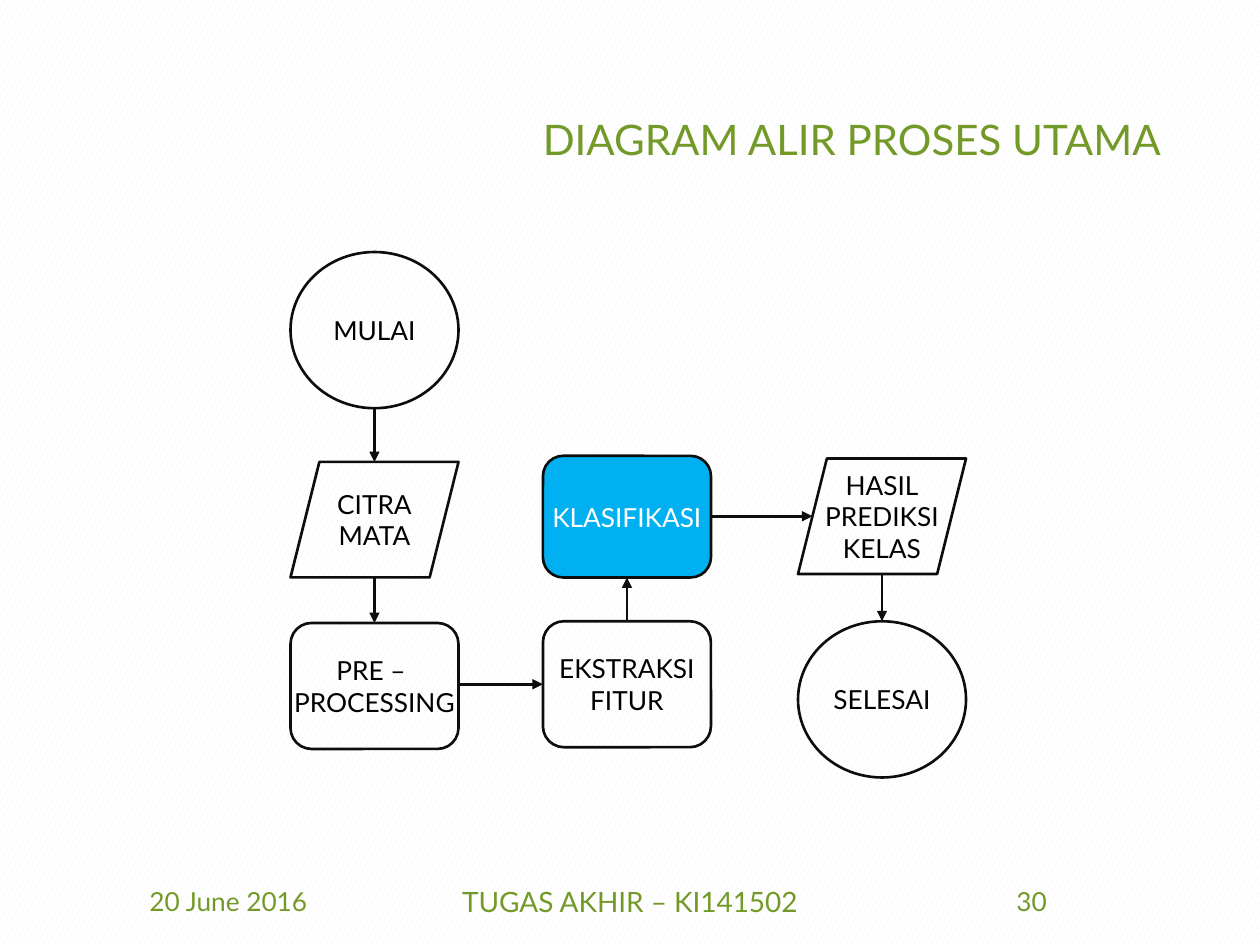
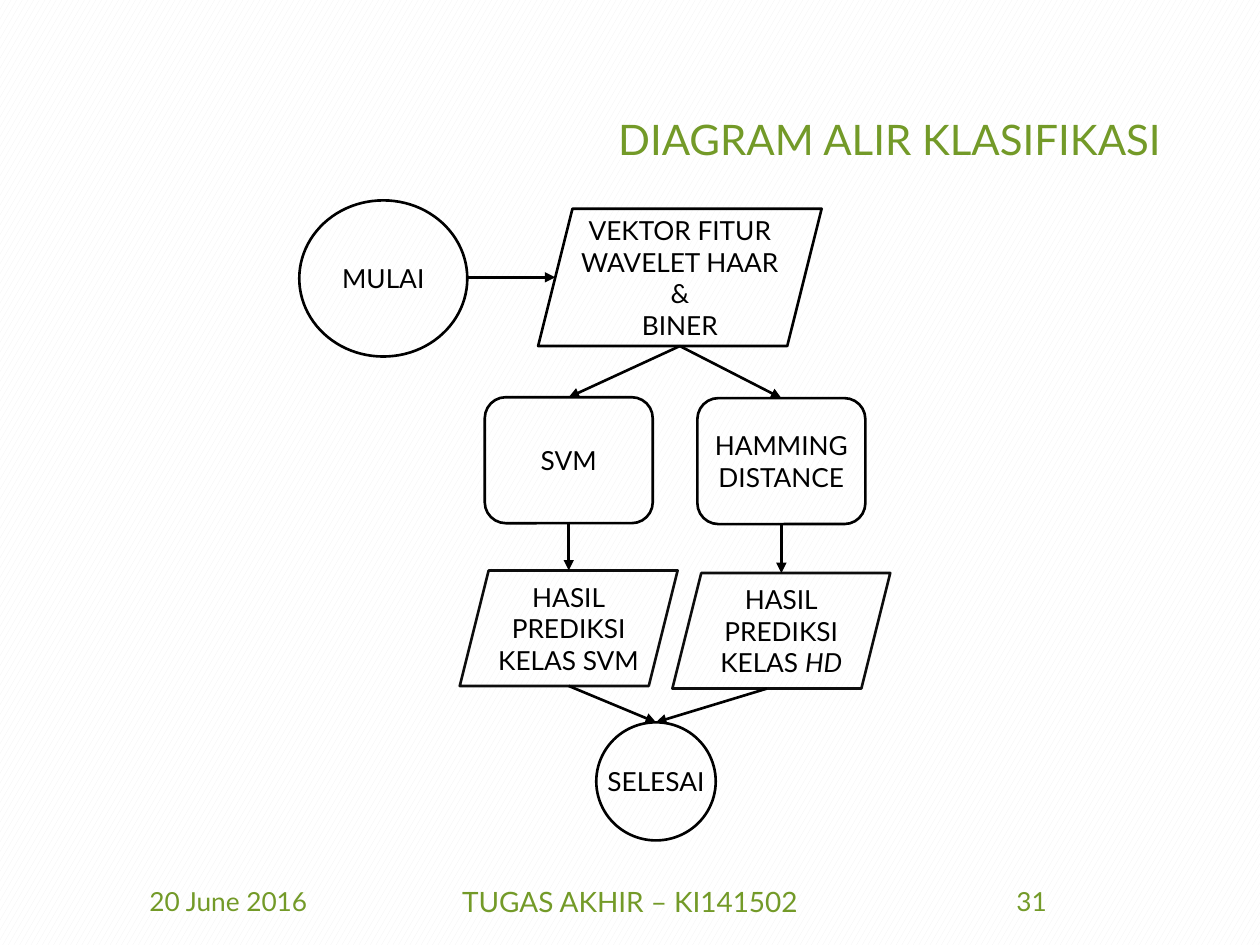
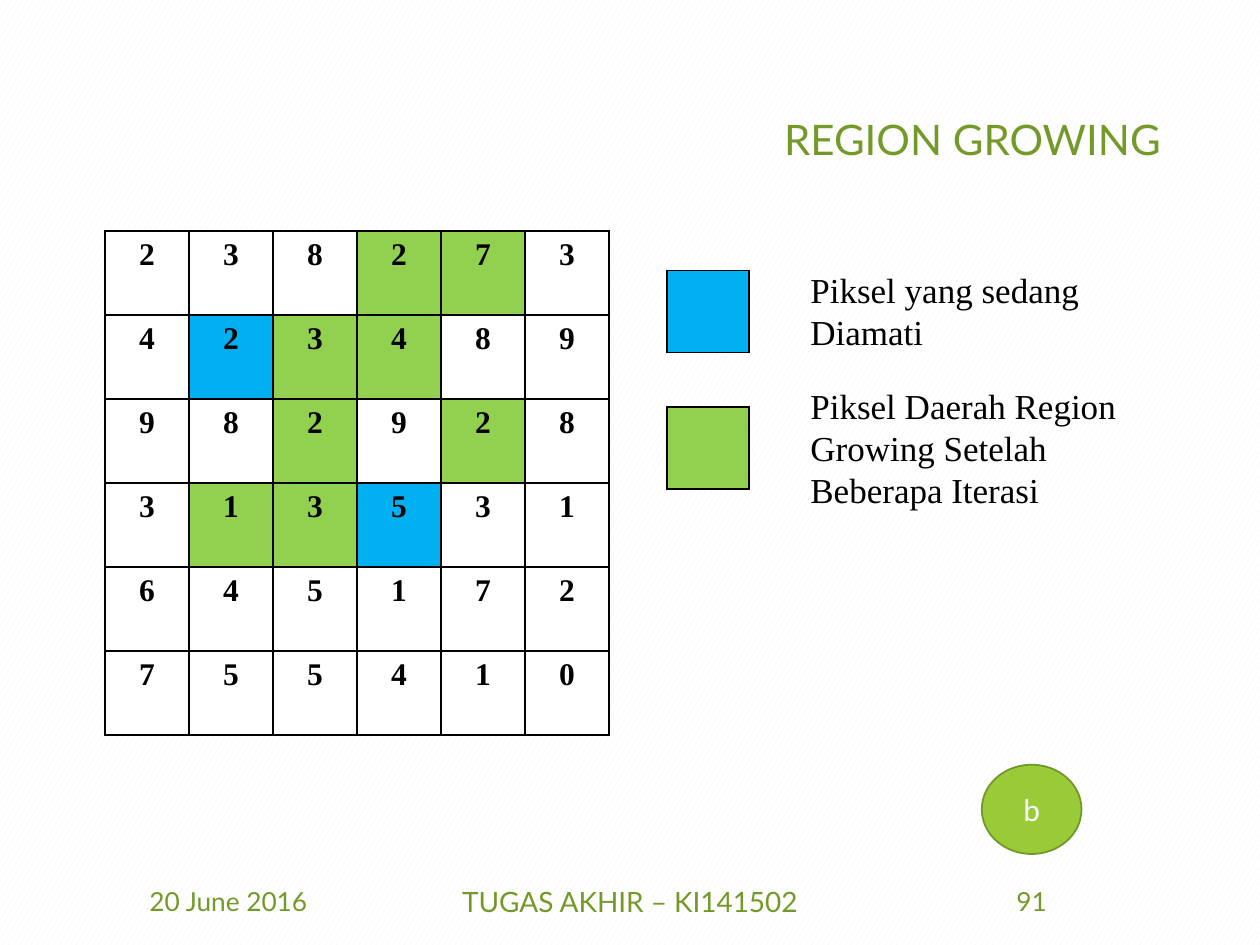
import pptx
import pptx.util
import pptx.dml.color
import pptx.enum.dml
import pptx.enum.shapes
import pptx.enum.text
import pptx.oxml
import pptx.oxml.ns
from dataclasses import dataclass

Pt = pptx.util.Pt
Align = pptx.enum.text.PP_ALIGN
Anchor = pptx.enum.text.MSO_ANCHOR
Preset = pptx.enum.shapes.MSO_SHAPE


@dataclass(frozen=True)
class Theme:
    heading: str = "739A28"
    black: str = "000000"
    ink: str = "0D0D0D"
    white: str = "FFFFFF"
    pattern: str = "F2F2F2"
    blue: str = "00B0F0"
    green: str = "92D050"
    badge: str = "99CB38"
    badge_line: str = "719629"
    sans: str = "Lato"
    serif: str = "Times New Roman"
    badge_font: str = "Calibri"
    title_size: int = 24
    legend_size: int = 20
    cell_size: int = 18
    footer_size: int = 16
    node_size: int = 15
    flow_line: float = 1.5
    thin_line: float = 1


THEME = Theme()


def rgb(color):
    return pptx.dml.color.RGBColor.from_string(color)


def points(*values):
    return [Pt(value) for value in values]


def paint(target, color):
    target.fill.solid()
    target.fill.fore_color.rgb = rgb(color)


def style_text(text_frame, size, color, font=THEME.sans, align=Align.CENTER, bold=None):
    for paragraph in text_frame.paragraphs:
        paragraph.alignment = align
        for run in paragraph.runs:
            run.font.size = Pt(size)
            run.font.name = font
            run.font.bold = bold
            run.font.color.rgb = rgb(color)


def set_background(presentation):
    fill = presentation.slide_master.background.fill
    fill.patterned()
    fill.pattern = pptx.enum.dml.MSO_PATTERN.LARGE_CONFETTI
    fill.fore_color.rgb = rgb(THEME.pattern)
    fill.back_color.rgb = rgb(THEME.white)


def add_text(slide, box, text, size, color, font=THEME.sans, align=Align.CENTER, anchor=Anchor.MIDDLE):
    text_frame = slide.shapes.add_textbox(*points(*box)).text_frame
    text_frame.word_wrap = True
    text_frame.vertical_anchor = anchor
    text_frame.text = text
    style_text(text_frame, size, color, font, align)


def add_slide(presentation, title, number):
    slide = presentation.slides.add_slide(presentation.slide_layouts.get_by_name("Title Only"))
    shape = slide.shapes.title
    shape.left, shape.top, shape.width, shape.height = points(49.5, 29, 621, 104)
    shape.text_frame.text = title
    shape.text_frame.vertical_anchor = Anchor.MIDDLE
    shape.text_frame.paragraphs[0].line_spacing = 0.9
    style_text(shape.text_frame, THEME.title_size, THEME.heading, align=Align.RIGHT)
    footers = [
        (49.5, 162, "20 June 2016", THEME.node_size),
        (238.5, 243, "TUGAS AKHIR – KI141502", THEME.footer_size),
        (508.5, 162, str(number), THEME.node_size),
    ]
    for left, width, text, size in footers:
        add_text(slide, (left, 500.5, width, 28.75), text, size, THEME.heading)
    return slide


def add_node(slide, preset, box, text, fill=None, color=THEME.black, line=THEME.ink,
             line_width=THEME.flow_line, font=THEME.sans, size=THEME.node_size, wrap=False):
    shape = slide.shapes.add_shape(preset, *points(*box))
    shape.shadow.inherit = False
    if fill:
        paint(shape, fill)
    else:
        shape.fill.background()
    shape.line.color.rgb = rgb(line)
    shape.line.width = Pt(line_width)
    text_frame = shape.text_frame
    text_frame.word_wrap = wrap
    text_frame.vertical_anchor = Anchor.MIDDLE
    text_frame.text = text
    style_text(text_frame, size, color, font)
    return shape


def site(shape, side):
    middle_x = shape.left + shape.width // 2
    middle_y = shape.top + shape.height // 2
    is_slanted = shape.auto_shape_type == Preset.PARALLELOGRAM
    slant = shape.height // 8 if is_slanted else 0
    bottom = shape.top + shape.height
    return {
        "top": (middle_x, shape.top),
        "bottom": (middle_x, bottom),
        "bottom edge": (middle_x - slant, bottom),
        "left": (shape.left + slant, middle_y),
        "right": (shape.left + shape.width - slant, middle_y),
    }[side]


def add_arrow(slide, start, start_side, end, end_side, color=THEME.ink):
    start_x, start_y = site(start, start_side)
    end_x, end_y = site(end, end_side)
    if end_side == "left":
        start_y = end_y
    connector = slide.shapes.add_connector(
        pptx.enum.shapes.MSO_CONNECTOR.STRAIGHT, start_x, start_y, end_x, end_y)
    connector.line.color.rgb = rgb(color)
    connector.line.width = Pt(THEME.flow_line)
    line = connector.line._get_or_add_ln()
    line.append(pptx.oxml.parse_xml(
        f'<a:tailEnd {pptx.oxml.ns.nsdecls("a")} type="triangle"/>'))
    connector._element.spPr.append(
        pptx.oxml.parse_xml(f'<a:effectLst {pptx.oxml.ns.nsdecls("a")}/>'))


def add_borders(cell):
    properties = cell._tc.get_or_add_tcPr()
    for side in ("lnL", "lnR", "lnT", "lnB"):
        properties.append(pptx.oxml.parse_xml(
            f'<a:{side} {pptx.oxml.ns.nsdecls("a")} w="{Pt(THEME.thin_line)}">'
            f'<a:solidFill><a:srgbClr val="{THEME.black}"/></a:solidFill></a:{side}>'))


def add_grid(slide, left, top, cell_size, values, fills):
    rows, columns = len(fills), len(fills[0])
    table = slide.shapes.add_table(
        rows, columns, *points(left, top, columns * cell_size, rows * cell_size)).table
    table.first_row = table.horz_banding = False
    for row, row_fills in enumerate(fills):
        for column, fill in enumerate(row_fills):
            cell = table.cell(row, column)
            add_borders(cell)
            paint(cell, fill)
            if values:
                cell.text_frame.text = values[row][column]
                style_text(cell.text_frame, THEME.cell_size, THEME.black, THEME.serif, bold=True)


def build_main_process(presentation):
    slide = add_slide(presentation, "DIAGRAM ALIR PROSES UTAMA", 30)
    first, second, third = 166, 310.25, 456
    width = 96
    start = add_node(slide, Preset.OVAL, (first, 144, width, 89.25), "MULAI")
    image = add_node(slide, Preset.PARALLELOGRAM, (first, 264, width, 66), "CITRA\nMATA")
    preprocessing = add_node(
        slide, Preset.ROUNDED_RECTANGLE, (first, 356, width, 72), "PRE – \nPROCESSING")
    extraction = add_node(
        slide, Preset.ROUNDED_RECTANGLE, (second, 355, width, 72), "EKSTRAKSI\nFITUR")
    classification = add_node(
        slide, Preset.ROUNDED_RECTANGLE, (second, 260.5, width, 69.5), "KLASIFIKASI",
        THEME.blue, THEME.white)
    result = add_node(
        slide, Preset.PARALLELOGRAM, (third, 262, width, 66), "HASIL\nPREDIKSI\nKELAS")
    finish = add_node(slide, Preset.OVAL, (third, 355, width, 89.25), "SELESAI")
    for link in [
        (start, "bottom", image, "top"),
        (image, "bottom", preprocessing, "top"),
        (preprocessing, "right", extraction, "left"),
        (extraction, "top", classification, "bottom"),
        (classification, "right", result, "left"),
        (result, "bottom", finish, "top"),
    ]:
        add_arrow(slide, *link)


def build_classification(presentation):
    slide = add_slide(presentation, "DIAGRAM ALIR KLASIFIKASI", 31)
    black = THEME.black
    start = add_node(slide, Preset.OVAL, (171, 114.5, 96, 89.25), "MULAI", line=black)
    features = add_node(
        slide, Preset.PARALLELOGRAM, (307.5, 119.25, 162, 78.5),
        "VEKTOR FITUR\nWAVELET HAAR\n&\nBINER", line=black)
    finish = add_node(slide, Preset.OVAL, (340.75, 412.75, 68.25, 67.5), "SELESAI", line=black)
    add_arrow(slide, start, "right", features, "left", black)
    branches = [
        (277, 227, 326, "SVM", "KELAS SVM", "bottom"),
        (398.5, 227.5, 327.5, "HAMMING\nDISTANCE", "KELAS ", "bottom edge"),
    ]
    for left, method_top, result_top, name, label, exit_side in branches:
        method = add_node(
            slide, Preset.ROUNDED_RECTANGLE, (left, method_top, 96, 72), name, line=black)
        result = add_node(
            slide, Preset.PARALLELOGRAM, (left - 14.25, result_top, 124.5, 66),
            f"HASIL\nPREDIKSI\n{label}")
        add_arrow(slide, features, "bottom", method, "top", black)
        add_arrow(slide, method, "bottom", result, "top", black)
        add_arrow(slide, result, exit_side, finish, "top", black)
    run = result.text_frame.paragraphs[-1].add_run()
    run.text = "HD"
    style_text(result.text_frame, THEME.node_size, black)
    run.font.italic = True


def build_region_growing(presentation):
    slide = add_slide(presentation, "REGION GROWING", 91)
    colors = {".": THEME.white, "G": THEME.green, "B": THEME.blue}
    pixels = ["238273", "423489", "982928", "313531", "645172", "755410"]
    marks = ["...GG.", ".BGG..", "..G.G.", ".GGB..", "......", "......"]
    fills = [[colors[mark] for mark in row] for row in marks]
    add_grid(slide, 60, 132, 48, pixels, fills)
    legend = [
        (154.5, 150, 55.75, THEME.blue, "Piksel yang sedang Diamati"),
        (232.5, 216, 80, THEME.green, "Piksel Daerah Region Growing Setelah Beberapa Iterasi"),
    ]
    for swatch_top, text_top, height, color, text in legend:
        add_grid(slide, 381, swatch_top, 47, None, [[color]])
        add_text(slide, (456, text_top, 230, height), text, THEME.legend_size, THEME.black,
                 THEME.serif, Align.LEFT, Anchor.TOP)
    add_node(slide, Preset.OVAL, (561, 437, 57, 51), "b", THEME.badge, THEME.white,
             THEME.badge_line, THEME.thin_line, THEME.badge_font, THEME.cell_size, True)


def main():
    presentation = pptx.Presentation()
    presentation.slide_width, presentation.slide_height = points(720, 540)
    set_background(presentation)
    build_main_process(presentation)
    build_classification(presentation)
    build_region_growing(presentation)
    presentation.save("out.pptx")


if __name__ == "__main__":
    main()
